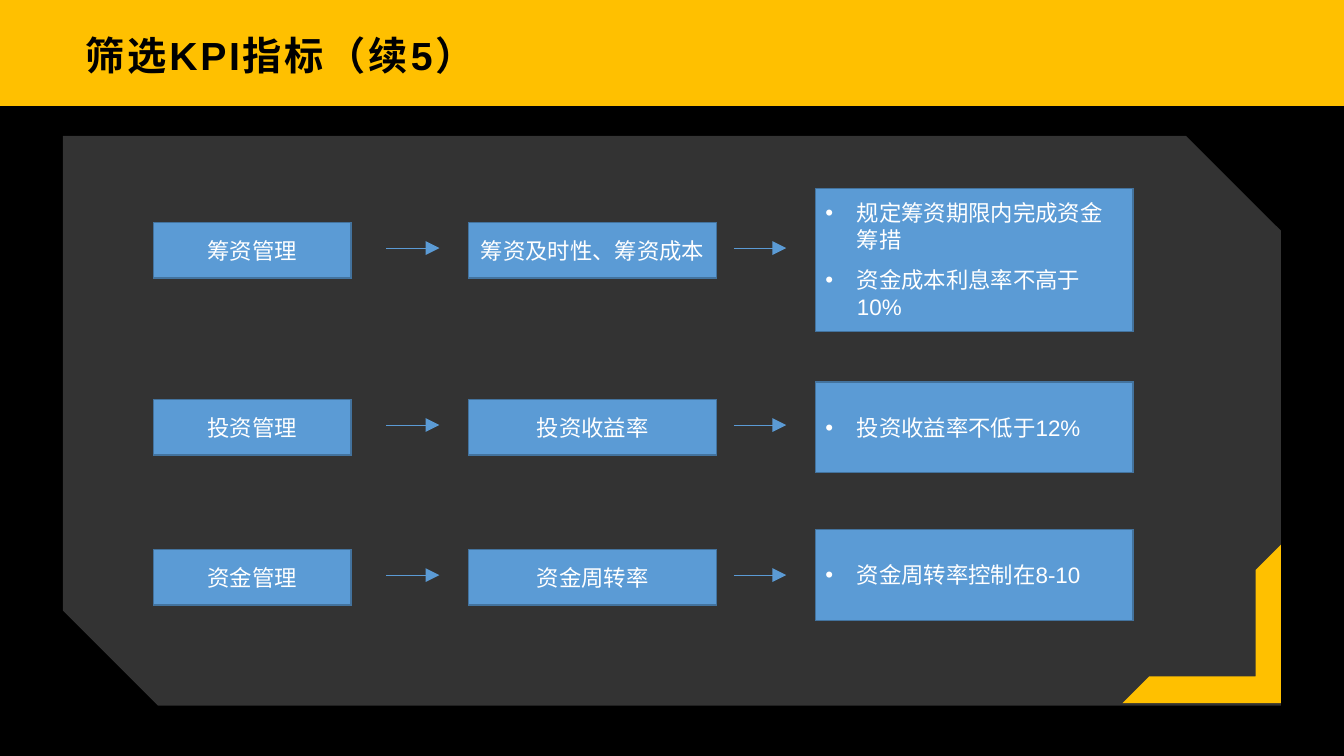
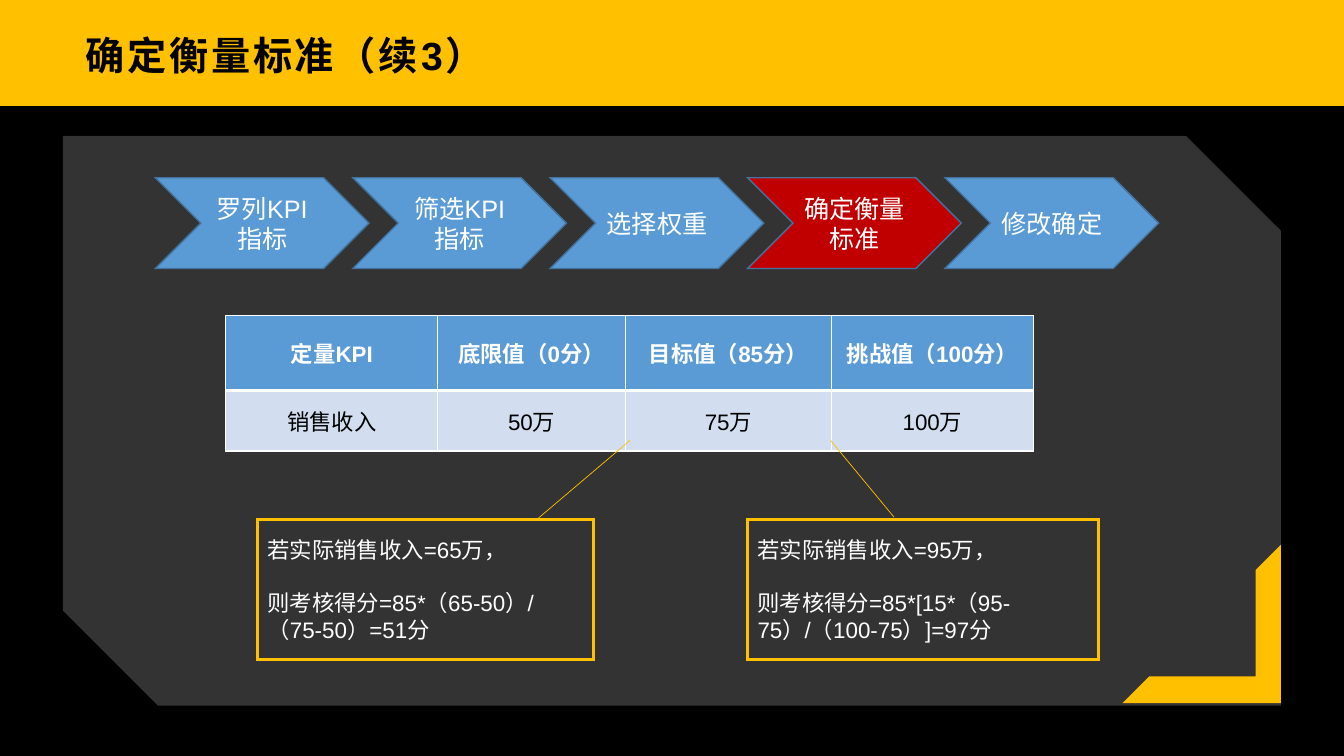
"""Build two slides about choosing KPIs and setting their standards."""
from itertools import accumulate

from pptx import Presentation
from pptx.dml.color import RGBColor
from pptx.enum.lang import MSO_LANGUAGE_ID as Language
from pptx.enum.shapes import MSO_CONNECTOR as Connector, MSO_SHAPE as Shape
from pptx.enum.text import MSO_ANCHOR as Anchor, PP_ALIGN as Align
from pptx.oxml import parse_xml
from pptx.oxml.ns import nsdecls, qn
from pptx.oxml.xmlchemy import OxmlElement
from pptx.util import Pt

FONT = "Arial"
YELLOW, BLACK, WHITE = "FFC000", "000000", "FFFFFF"
BLUE, EDGE, RED, PALE = "5B9BD5", "43739E", "C00000", "D2DEEF"

KPI_ROWS = [
    (159, "筹资管理", "筹资及时性、筹资成本", 134.6, 102.2,
     ["规定筹资期限内完成资金筹措", "资金成本利息率不高于10%"]),
    (285.4, "投资管理", "投资收益率", 272.9, 64.8, ["投资收益率不低于12%"]),
    (392.6, "资金管理", "资金周转率", 378.3, 64.8, ["资金周转率控制在8-10"]),
]
STEPS = ["罗列KPI指标", "筛选KPI指标", "选择权重", "确定衡量标准", "修改确定"]
CURRENT_STEP = "确定衡量标准"
SCORES = [
    ["定量KPI", "底限值（0分）", "目标值（85分）", "挑战值（100分）"],
    ["销售收入", "50万", "75万", "100万"],
]
CALLOUTS = [
    (184, 240, (450, 314.6, 383.5, 371),
     ["若实际销售收入=65万，", "则考核得分=85*（65-50）/（75-50）=51分"]),
    (534, 250.6, (593.3, 314.6, 638.6, 369.4),
     ["若实际销售收入=95万，", "则考核得分=85*[15*（95-75）/（100-75）]=97分"]),
]


def rgb(value):
    """Return the colour for a hex string."""
    return RGBColor.from_string(value)


def write(text_frame, lines, size=16, color=WHITE, align=Align.CENTER, bold=False, gap=0):
    """Fill a text frame with one formatted paragraph per line."""
    text_frame.word_wrap = True
    text_frame.text = "\n".join(lines)
    for index, paragraph in enumerate(text_frame.paragraphs):
        paragraph.alignment = align
        paragraph.space_before = Pt(gap if index else 0)
        for run in paragraph.runs:
            font = run.font
            font.name, font.size, font.bold = FONT, Pt(size), bold
            font.color.rgb = rgb(color)
            font.language_id = Language.SIMPLIFIED_CHINESE


def add_bullets(text_frame, indent=22.5):
    """Give every paragraph a hanging bullet."""
    for paragraph in text_frame.paragraphs:
        properties = paragraph._p.get_or_add_pPr()
        properties.set("marL", str(Pt(indent)))
        properties.set("indent", str(-Pt(indent)))
        properties.append(parse_xml(f'<a:buFont {nsdecls("a")} typeface="{FONT}"/>'))
        properties.append(parse_xml(f'<a:buChar {nsdecls("a")} char="•"/>'))


def add_box(shapes, kind, bounds, fill=BLUE, edge=EDGE, width=1):
    """Add a preset shape; without a colour it has no fill or outline."""
    shape = shapes.add_shape(kind, *map(Pt, bounds))
    shape.shadow.inherit = False
    if fill:
        shape.fill.solid()
        shape.fill.fore_color.rgb = rgb(fill)
    else:
        shape.fill.background()
    if edge:
        shape.line.color.rgb = rgb(edge)
        shape.line.width = Pt(width)
        corner_join = OxmlElement("a:miter")
        corner_join.set("lim", "800000")
        shape._element.spPr.find(qn("a:ln")).append(corner_join)
    else:
        shape.line.fill.background()
    shape.text_frame.vertical_anchor = Anchor.MIDDLE
    return shape


def add_line(shapes, ends, color, arrow=False):
    """Add a thin straight line, optionally with a large arrowhead."""
    line = shapes.add_connector(Connector.STRAIGHT, *map(Pt, ends))
    line.line.color.rgb = rgb(color)
    line.line.width = Pt(0.5)
    properties = line._element.spPr
    if arrow:
        head = OxmlElement("a:tailEnd")
        for name, value in (("type", "triangle"), ("w", "lg"), ("len", "lg")):
            head.set(name, value)
        properties.find(qn("a:ln")).append(head)
    properties.append(OxmlElement("a:effectLst"))


def set_background(master):
    """Paint the yellow title band above black on the master."""
    fill = master.background.fill
    fill.gradient()
    fill.gradient_angle = 270
    for stop, color in zip(fill.gradient_stops, (YELLOW, BLACK)):
        stop.position = 0.14
        stop.color.rgb = rgb(color)


def add_title(slide, text):
    """Add the spaced bold title on the yellow band."""
    text_frame = slide.shapes.add_textbox(*map(Pt, (53, 13.7, 854.6, 51.1))).text_frame
    write(text_frame, [text], 28, BLACK, Align.LEFT, True)
    text_frame.vertical_anchor = Anchor.MIDDLE
    text_frame.margin_left, text_frame.margin_right = Pt(8), Pt(6)
    text_frame.paragraphs[0].runs[0]._r.get_or_add_rPr().set("spc", "200")


def add_framed_slide(presentation, title):
    """Add a slide with its translucent panel, corner and title."""
    slide = presentation.slides.add_slide(presentation.slide_layouts[6])
    panel = add_box(slide.shapes, Shape.SNIP_2_DIAG_RECTANGLE,
                    (45, 97, 870, 407), WHITE, None)
    alpha = OxmlElement("a:alpha")
    alpha.set("val", "20000")
    panel._element.spPr.find(qn("a:solidFill"))[0].append(alpha)
    corner = add_box(slide.shapes, Shape.HALF_FRAME, (801.7, 389, 113.3, 113.3), YELLOW, None)
    corner.rotation = 180
    corner.adjustments[0], corner.adjustments[1] = 0.17, 0.16
    add_title(slide, title)
    return slide


def add_kpi_row(slide, top, area, indicator, target_top, target_height, targets):
    """Add one grouped row: area, indicator and bulleted targets."""
    shapes = slide.shapes.add_group_shape().shapes
    for left, width, text in ((109.6, 141.1, area), (334.8, 177.1, indicator)):
        box = add_box(shapes, Shape.RECTANGLE, (left, top, width, 39.6))
        write(box.text_frame, [text])
    for start, end in ((275.8, 313.9), (524.2, 561.6)):
        add_line(shapes, (start, top + 18.2, end, top + 18.2), BLUE, arrow=True)
    box = add_box(shapes, Shape.RECTANGLE, (582.5, target_top, 226.8, target_height))
    write(box.text_frame, targets, align=Align.LEFT, gap=9.5)
    add_bullets(box.text_frame)


def add_steps(slide, left=111, step=141):
    """Add the chevron process with the current step in red."""
    shapes = slide.shapes.add_group_shape().shapes
    for index, text in enumerate(STEPS):
        fill = RED if text == CURRENT_STEP else BLUE
        chevron = add_box(shapes, Shape.CHEVRON, (left + index * step, 127, 152.6, 64.8), fill)
        write(chevron.text_frame, [text], 18)


def set_borders(cell, **widths):
    """Draw white borders of the given widths around a cell."""
    properties = cell._tc.get_or_add_tcPr()
    for side in "LRTB":
        width = Pt(widths.get(side, 1))
        properties.append(parse_xml(
            f'<a:ln{side} {nsdecls("a")} w="{width}"><a:solidFill>'
            f'<a:srgbClr val="{WHITE}"/></a:solidFill></a:ln{side}>'))


def add_score_table(slide):
    """Add the table of threshold, target and challenge values."""
    widths, heights = (151.5, 133.9, 147.2, 144.4), (53.6, 43.2)
    *_, total = accumulate(widths)
    table = slide.shapes.add_table(len(heights), len(widths), Pt(161.3), Pt(225.4),
                                   Pt(total), Pt(sum(heights))).table
    for column, width in zip(table.columns, widths):
        column.width = Pt(width)
    for row, height, texts, header in zip(table.rows, heights, SCORES, (True, False)):
        row.height = Pt(height)
        for cell, text in zip(row.cells, texts):
            set_borders(cell, **({"B": 3} if header else {"T": 3}))
            cell.fill.solid()
            cell.fill.fore_color.rgb = rgb(BLUE if header else PALE)
            cell.vertical_anchor = Anchor.MIDDLE
            write(cell.text_frame, [text], color=WHITE if header else BLACK, bold=header)


def add_callout(slide, left, width, pointer, lines):
    """Add an outlined worked example and its pointer to the table."""
    box = add_box(slide.shapes, Shape.RECTANGLE, (left, 371, width, 100), None, YELLOW, 2.25)
    write(box.text_frame, lines, align=Align.LEFT, gap=19)
    add_line(slide.shapes, pointer, YELLOW)


def main():
    """Build and save the presentation."""
    presentation = Presentation()
    presentation.slide_width, presentation.slide_height = Pt(960), Pt(540)
    set_background(presentation.slide_master)

    selection = add_framed_slide(presentation, "筛选KPI指标（续5）")
    for row in KPI_ROWS:
        add_kpi_row(selection, *row)

    standards = add_framed_slide(presentation, "确定衡量标准（续3）")
    add_steps(standards)
    add_score_table(standards)
    for callout in CALLOUTS:
        add_callout(standards, *callout)

    presentation.save("out.pptx")


if __name__ == "__main__":
    main()
